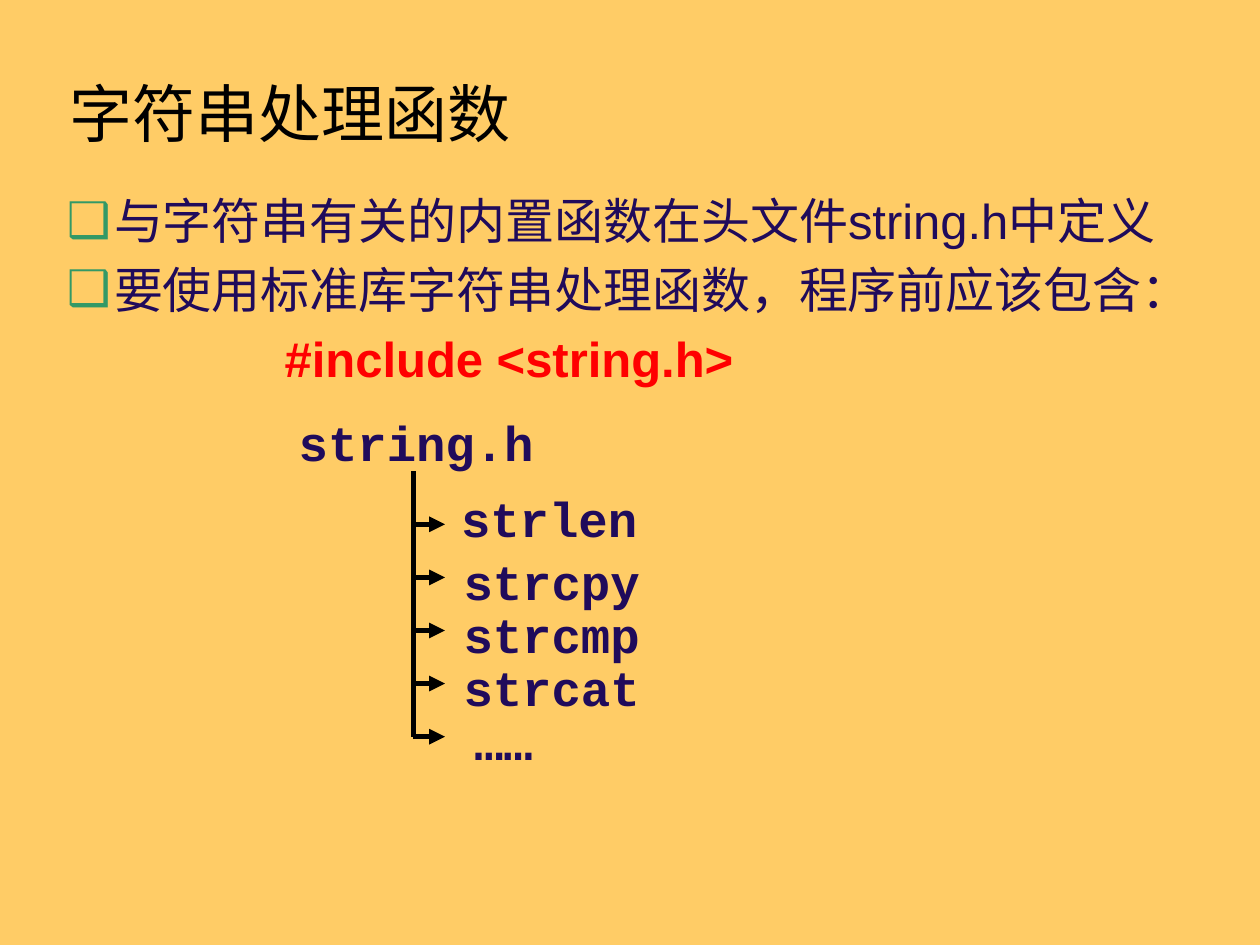
from lxml.etree import SubElement
from pptx import Presentation
from pptx.dml.color import RGBColor
from pptx.enum.shapes import MSO_CONNECTOR
from pptx.enum.text import MSO_ANCHOR, MSO_AUTO_SIZE, PP_ALIGN
from pptx.oxml.ns import qn
from pptx.util import Cm, Pt

INK = "200B5B"
BLACK = "000000"
SPINE_X, SPINE_TOP, BRANCH_STEP, BRANCH_LENGTH = 8.33, 9.5, 1.07, 0.64
FUNCTIONS = [
    ("strlen", 9.04, 9.73, 4.06),
    ("strcpy", 9.09, 11, 4.06),
    ("strcmp", 9.09, 12.07, 4.06),
    ("strcat", 9.09, 13.14, 4.06),
    ("……", 9.3, 14.21, 1.7),
]


def color(value):
    """Return the colour for a hex string."""
    return RGBColor.from_string(value)


def add_box(slide, left, top, width, height, wrap=True, anchor=MSO_ANCHOR.TOP):
    """Add an empty text box and return its text frame."""
    frame = slide.shapes.add_textbox(Cm(left), Cm(top), Cm(width), Cm(height)).text_frame
    frame.word_wrap = wrap
    frame.vertical_anchor = anchor
    frame.auto_size = MSO_AUTO_SIZE.NONE if wrap else MSO_AUTO_SIZE.SHAPE_TO_FIT_TEXT
    return frame


def write(paragraph, text, size=28, font="Arial", fill=INK, bold=False,
          align=PP_ALIGN.LEFT, before=0, margin=0, hanging=0, bullet=None, east_asian=None):
    """Write formatted text into a paragraph."""
    paragraph.alignment = align
    paragraph.space_before = Pt(before)
    properties = paragraph._p.get_or_add_pPr()
    properties.set("marL", str(Cm(margin)))
    properties.set("indent", str(-Cm(hanging)))
    if bullet:
        bullet_color = SubElement(properties, qn("a:buClr"))
        SubElement(bullet_color, qn("a:srgbClr"), val="339966")
        SubElement(properties, qn("a:buFont"), typeface=font)
        SubElement(properties, qn("a:buChar"), char=bullet)
    run = paragraph.add_run()
    run.text = text
    run.font.size = Pt(size)
    run.font.name = font
    run.font.bold = bold
    run.font.color.rgb = color(fill)
    if east_asian:
        SubElement(run._r.get_or_add_rPr(), qn("a:ea"), typeface=east_asian)


def add_code_label(slide, text, left, top, width):
    """Add a centred label in the code font."""
    frame = add_box(slide, left, top, width, 1.45, wrap=False)
    write(frame.paragraphs[0], text, font="Courier New", bold=True, align=PP_ALIGN.CENTER)


def add_line(slide, start, end, arrow=False):
    """Add a straight black line, with an arrowhead at its end if asked."""
    points = [Cm(value) for value in (*start, *end)]
    connector = slide.shapes.add_connector(MSO_CONNECTOR.STRAIGHT, *points)
    connector.line.color.rgb = color(BLACK)
    connector.line.width = Pt(3)
    if arrow:
        SubElement(connector.line._get_or_add_ln(), qn("a:tailEnd"), type="triangle")
    SubElement(connector._element.spPr, qn("a:effectLst"))


def add_title(slide):
    """Add the slide title."""
    frame = add_box(slide, 1.15, 1.35, 22.86, 1.83, anchor=MSO_ANCHOR.MIDDLE)
    font = "Noto Sans CJK SC"
    write(frame.paragraphs[0], "字符串处理函数", size=36, font=font, fill=BLACK, east_asian=font)


def add_body(slide):
    """Add the two bullets and the include directive."""
    frame = add_box(slide, 1.1, 3.72, 23.6, 4.19)
    bullet = {"margin": 0.95, "hanging": 0.95, "bullet": "❑"}
    write(frame.paragraphs[0], "与字符串有关的内置函数在头文件string.h中定义", **bullet)
    write(frame.add_paragraph(), "要使用标准库字符串处理函数，程序前应该包含：", before=5.6, **bullet)
    write(frame.add_paragraph(), "#include <string.h>", fill="FF0000", bold=True,
          before=5.6, margin=4.39)


def add_function_tree(slide):
    """Add the header name and the functions that branch from it."""
    add_code_label(slide, "string.h", 5.74, 8.2, 5.3)
    for index, (name, left, top, width) in enumerate(FUNCTIONS):
        start = SPINE_TOP + index * BRANCH_STEP
        end = start + BRANCH_STEP
        add_line(slide, (SPINE_X, start), (SPINE_X, end))
        add_line(slide, (SPINE_X, end), (SPINE_X + BRANCH_LENGTH, end), arrow=True)
        add_code_label(slide, name, left, top, width)


def main():
    """Build and save the presentation."""
    presentation = Presentation()
    presentation.slide_width, presentation.slide_height = Cm(25.4), Cm(19.05)
    slide = presentation.slides.add_slide(presentation.slide_layouts[6])
    slide.background.fill.solid()
    slide.background.fill.fore_color.rgb = color("FFCC66")
    add_title(slide)
    add_body(slide)
    add_function_tree(slide)
    presentation.save("out.pptx")


if __name__ == "__main__":
    main()
